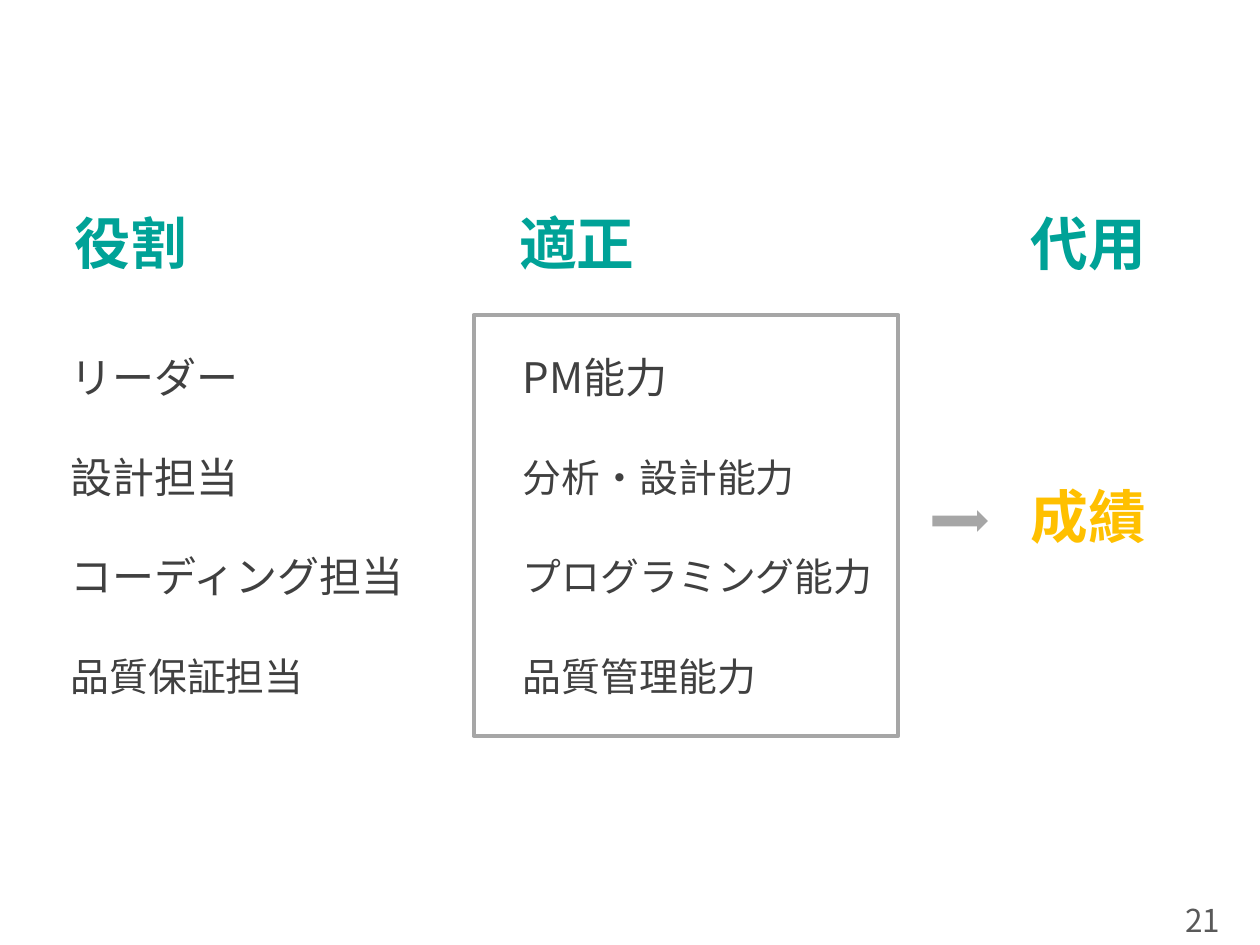
from lxml import etree
from pptx import Presentation
from pptx import util as u
from pptx.dml.color import RGBColor
from pptx.enum import shapes, text
from pptx.oxml.ns import qn

FONT = "Noto Sans CJK JP"
TEAL, AMBER, DARK, GRAY, PAGE_GRAY = "00A297", "FFC000", "404040", "A6A6A6", "595959"
ROW_TOP, ROW_STEP, ROW_HEIGHT = 2.69, 0.79, 0.65
HEADING_TOP, HEADING_HEIGHT = 1.41, 1.09

HEADINGS = [
    ("役割", 0.49, 2.59, 32, 0.1),
    ("適正", 4.05, 2.05, 33, 0.07),
    ("代用", 8.11, 2.59, 33, 0.07),
]
ROLES = [
    ("リーダー", 1.53, 24),
    ("設計担当", 1.53, 24),
    ("コーディング担当", 3.06, 24),
    ("品質保証担当", 2.13, 22.2),
]
ABILITIES = [
    ("PM能力", 1.53, 24),
    ("分析・設計能力", 2.38, 22.2),
    ("プログラミング能力", 3.06, 22.2),
    ("品質管理能力", 2.13, 22.2),
]


def color(value):
    return RGBColor.from_string(value)


def add_text(slide, words, left, top, width, height, size, hex_color,
             bold=False, side=0.07, edge=0.04, spacing=0.9,
             anchor=text.MSO_ANCHOR.MIDDLE):
    box = slide.shapes.add_textbox(
        u.Inches(left), u.Inches(top), u.Inches(width), u.Inches(height))
    frame = box.text_frame
    frame.word_wrap = True
    frame.vertical_anchor = anchor
    frame.margin_left = frame.margin_right = u.Inches(side)
    frame.margin_top = frame.margin_bottom = u.Inches(edge)
    paragraph = frame.paragraphs[0]
    paragraph.line_spacing = spacing
    run = paragraph.add_run()
    run.text = words
    run.font.name = FONT
    run.font.size = u.Pt(size)
    run.font.bold = bold
    run.font.color.rgb = color(hex_color)
    east_asian = etree.SubElement(run.font._element, qn("a:ea"))
    east_asian.set("typeface", FONT)


def add_column(slide, left, rows):
    for index, (words, width, size) in enumerate(rows):
        add_text(slide, words, left, ROW_TOP + index * ROW_STEP,
                 width, ROW_HEIGHT, size, DARK)


def add_preset(slide, kind, left, top, width, height):
    shape = slide.shapes.add_shape(
        kind, u.Inches(left), u.Inches(top), u.Inches(width), u.Inches(height))
    shape.shadow.inherit = False
    return shape


def add_frame(slide, left, top, width, height):
    shape = add_preset(slide, shapes.MSO_SHAPE.RECTANGLE, left, top, width, height)
    shape.fill.background()
    shape.line.color.rgb = color(GRAY)
    shape.line.width = u.Pt(2.5)


def add_arrow(slide, left, top, width, height):
    shape = add_preset(slide, shapes.MSO_SHAPE.RIGHT_ARROW, left, top, width, height)
    shape.fill.solid()
    shape.fill.fore_color.rgb = color(GRAY)
    shape.line.fill.background()


def main():
    presentation = Presentation()
    presentation.slide_width = u.Inches(10)
    presentation.slide_height = u.Inches(7.5)
    slide = presentation.slides.add_slide(presentation.slide_layouts[6])

    for words, left, width, size, side in HEADINGS:
        add_text(slide, words, left, HEADING_TOP, width, HEADING_HEIGHT,
                 size, TEAL, bold=True, side=side)
    add_column(slide, 0.49, ROLES)
    add_column(slide, 4.08, ABILITIES)
    add_frame(slide, 3.76, 2.5, 3.37, 3.34)
    add_arrow(slide, 7.4, 4.05, 0.44, 0.17)
    add_text(slide, "成績", 8.11, 3.8, 1.36, ROW_HEIGHT, 33, AMBER, bold=True)
    add_text(slide, "21", 9.31, 7.1, 0.53, 0.4, 18, PAGE_GRAY, side=0.1,
             edge=0.05, spacing=1.0, anchor=text.MSO_ANCHOR.TOP)
    presentation.save("out.pptx")


if __name__ == "__main__":
    main()
